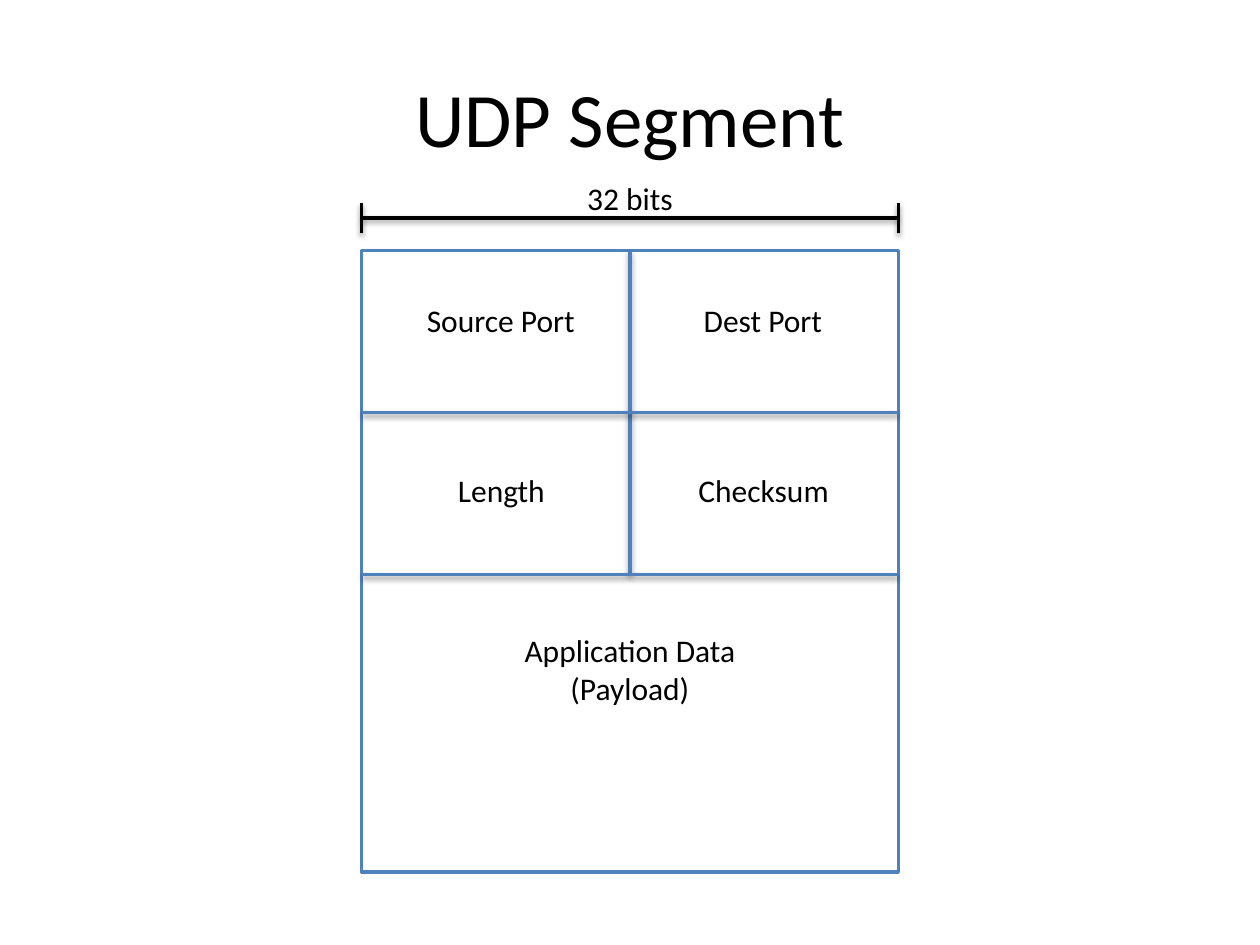
"""Builds a slide that shows the layout of a UDP segment."""
from dataclasses import dataclass

from lxml import etree
from pptx import Presentation
from pptx.dml.color import RGBColor
from pptx.enum.shapes import MSO_CONNECTOR, MSO_SHAPE
from pptx.enum.text import MSO_ANCHOR, PP_ALIGN
from pptx.oxml.ns import qn
from pptx.util import Inches, Pt

RECT = MSO_SHAPE.RECTANGLE
LINE = MSO_CONNECTOR.STRAIGHT
CENTER = PP_ALIGN.CENTER
MIDDLE, TOP = MSO_ANCHOR.MIDDLE, MSO_ANCHOR.TOP


@dataclass(frozen=True)
class Theme:
    """Holds the colours and sizes of the slide."""
    ink: RGBColor = RGBColor(0, 0, 0)
    edge: RGBColor = RGBColor(0x4F, 0x81, 0xBD)
    paper: RGBColor = RGBColor(255, 255, 255)
    font: str = "Calibri"
    head: int = 44
    body: int = 18
    width: int = 2


class Deck:
    """Draws styled elements on the current slide."""

    def __init__(self, prs, theme):
        """Adds a slide with a title."""
        self.theme = theme
        self.slide = prs.slides.add_slide(prs.slide_layouts[5])

    def letter(self, frame, text, size, anchor):
        """Puts centred text in a frame."""
        frame.word_wrap = True
        frame.vertical_anchor = anchor
        para = frame.paragraphs[0]
        para.alignment = CENTER
        run = para.add_run()
        run.text = text
        style = {"name": self.theme.font, "size": Pt(size)}
        for key, value in style.items():
            setattr(run.font, key, value)
        run.font.color.rgb = self.theme.ink

    def title(self, text, *box):
        """Places and fills the title."""
        shape = self.slide.shapes.title
        names = ("left", "top", "width", "height")
        for key, value in zip(names, box):
            setattr(shape, key, Inches(value))
        self.letter(shape.text_frame, text, self.theme.head, MIDDLE)

    def label(self, text, *box):
        """Adds a text box."""
        shape = self.slide.shapes.add_textbox(*map(Inches, box))
        self.letter(shape.text_frame, text, self.theme.body, TOP)

    def stroke(self, shape, color):
        """Sets the outline of a shape."""
        shape.line.color.rgb = color
        shape.line.width = Pt(self.theme.width)

    def frame(self, *box):
        """Adds the outer box."""
        shape = self.slide.shapes.add_shape(RECT, *map(Inches, box))
        shape.shadow.inherit = False
        shape.fill.solid()
        shape.fill.fore_color.rgb = self.theme.paper
        self.stroke(shape, self.theme.edge)

    def rule(self, color, *ends):
        """Adds a line with a soft shadow below it."""
        line = self.slide.shapes.add_connector(LINE, *map(Inches, ends))
        self.stroke(line, color)
        props = line._element.spPr
        effects = etree.SubElement(props, qn("a:effectLst"))
        shade = etree.SubElement(
            effects, qn("a:outerShdw"), blurRad=str(int(Pt(3.1))),
            dist=str(int(Pt(1.6))), dir="5400000", rotWithShape="0")
        tint = etree.SubElement(shade, qn("a:srgbClr"),
                                val=str(self.theme.ink))
        etree.SubElement(tint, qn("a:alpha"), val="38000")


def main():
    """Builds and saves the slide."""
    prs = Presentation()
    prs.slide_width, prs.slide_height = Inches(10), Inches(7.5)
    theme = Theme()
    deck = Deck(prs, theme)
    deck.title("UDP Segment", 0.5, 0.3, 9, 1.25)

    left, right, mid = 2.87, 7.13, 5
    top, base, height = 1.99, 4.56, 4.93
    deck.frame(left, top, right - left, height)
    deck.rule(theme.edge, mid, top, mid, base)
    for level in ((top + base) / 2, base):
        deck.rule(theme.edge, right, level, left, level)

    fields = (
        (("Source Port", 3.14, 1.67), ("Dest Port", 5.24, 1.63)),
        (("Length", 3.36, 1.24), ("Checksum", 5.39, 1.34)),
    )
    for index, pair in enumerate(fields):
        for text, start, width in pair:
            deck.label(text, start, 2.34 + 1.35 * index, width, 0.4)
    deck.label("Application Data (Payload)", 3.65, 4.96, 2.7, 0.71)

    scale, tick = 1.73, 0.12
    deck.rule(theme.ink, left, scale, right, scale)
    for side in (left, right):
        deck.rule(theme.ink, side, scale + tick, side, scale - tick)
    deck.label("32 bits", 3.96, 1.37, 2.08, 0.4)
    prs.save("out.pptx")


main()
